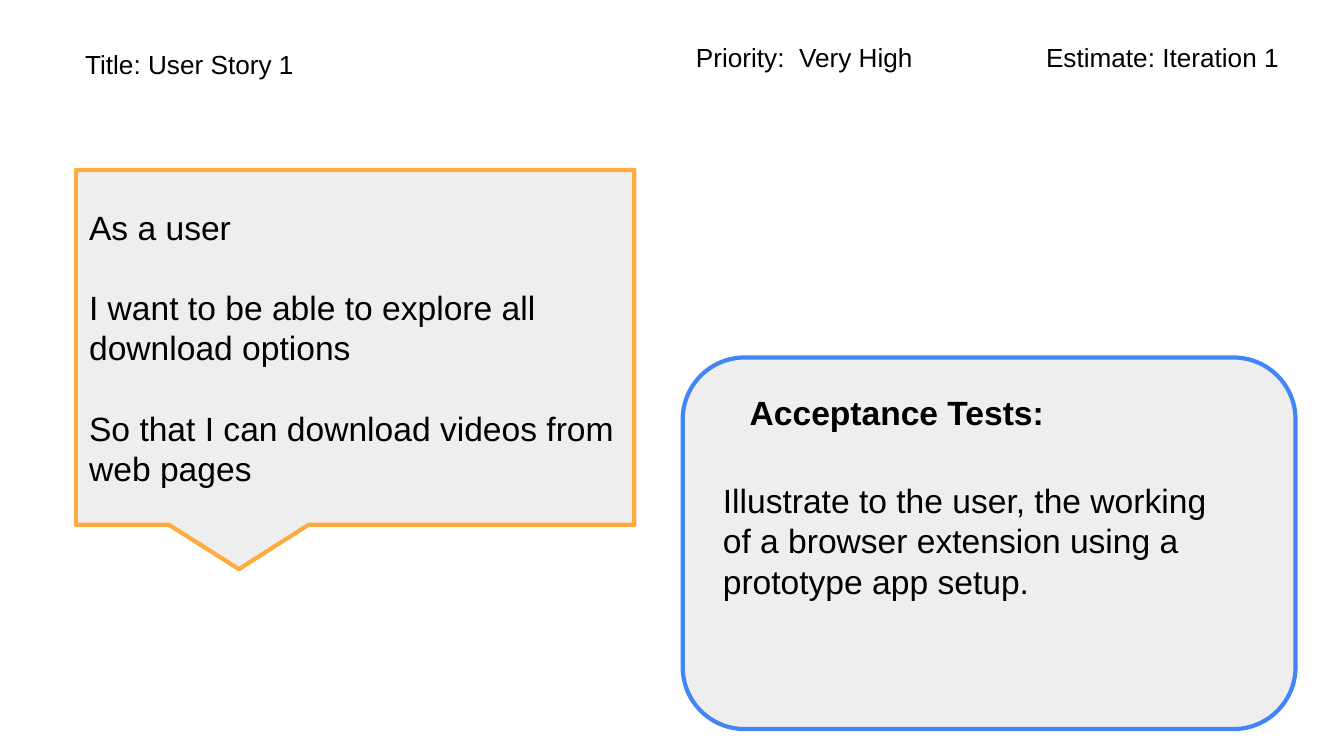
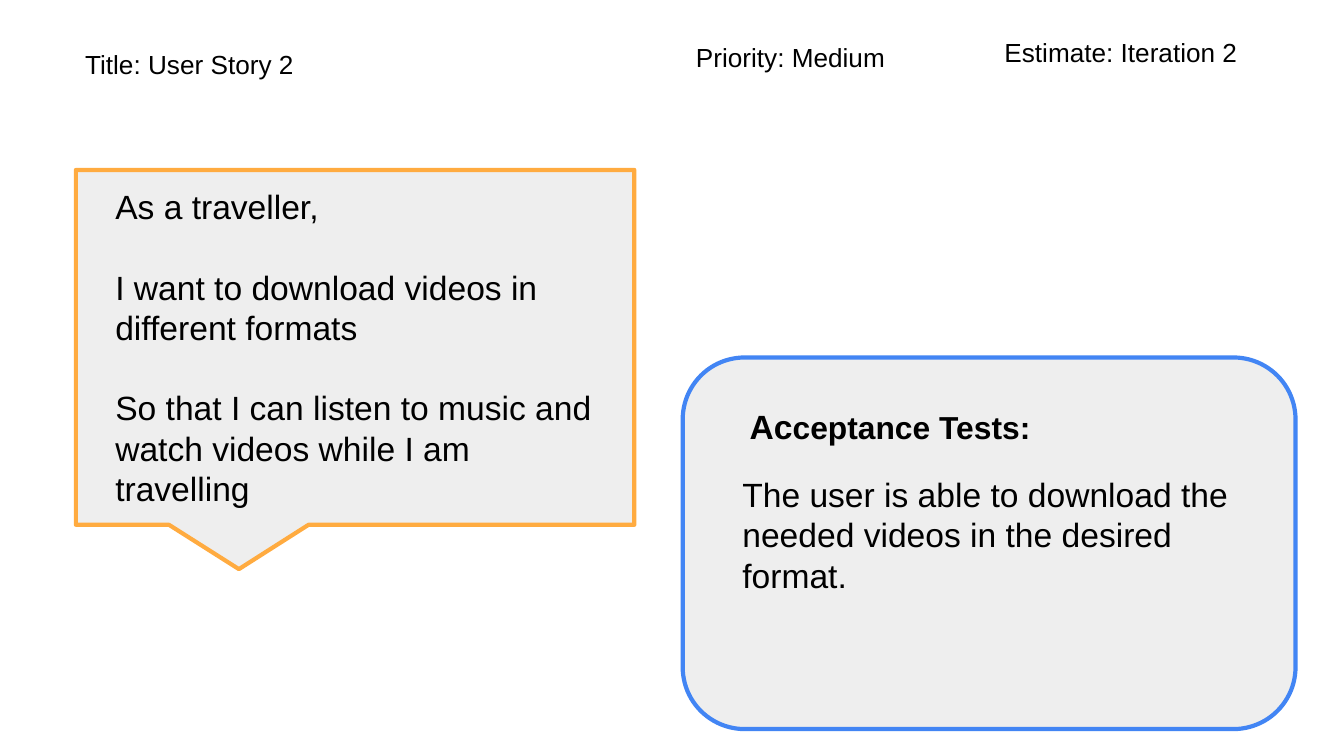
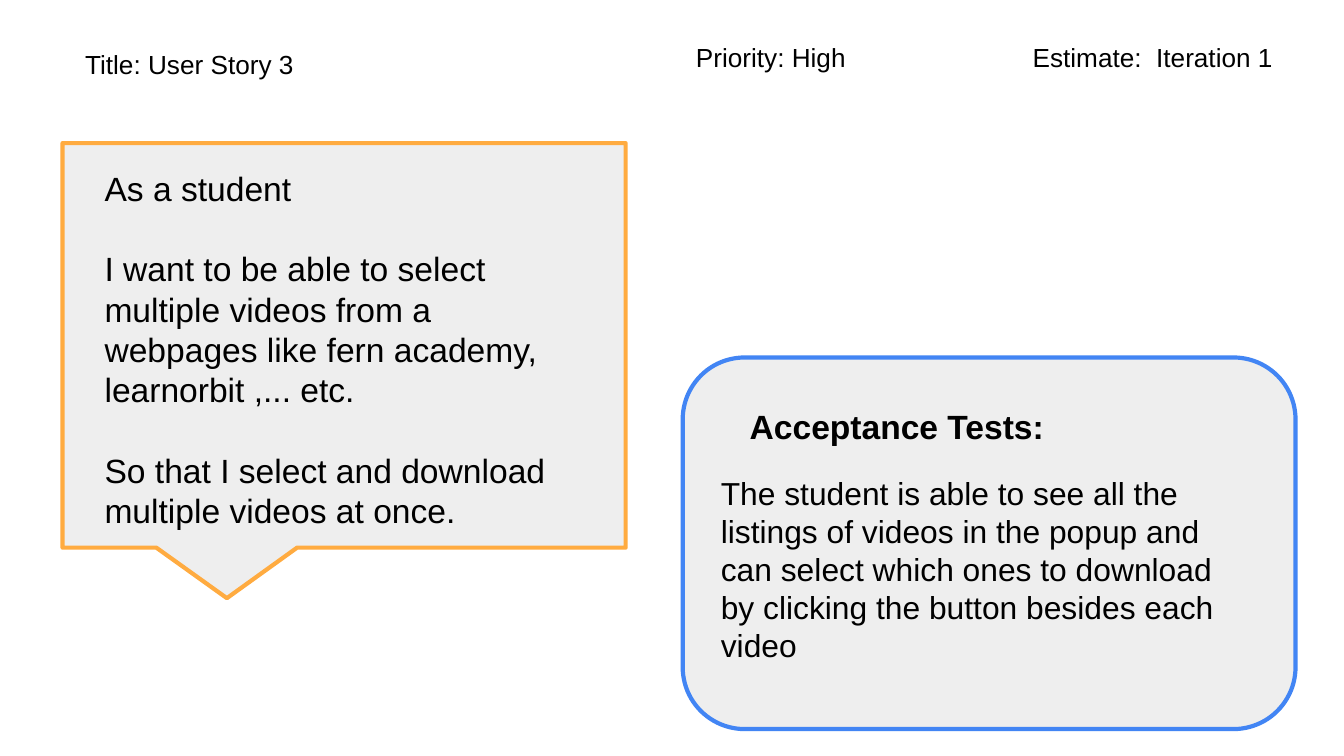
from dataclasses import dataclass

from pptx import Presentation
from pptx.dml.color import RGBColor
from pptx.enum.shapes import MSO_SHAPE
from pptx.enum.text import MSO_ANCHOR, MSO_AUTO_SIZE, PP_ALIGN
from pptx.util import Emu, Pt

PX = 4572  # 200 px to the inch
SLIDE_WIDTH = 2000
SLIDE_HEIGHT = 1125
FONT = "Arial"
BLACK = RGBColor(0x00, 0x00, 0x00)
GREY = RGBColor(0xEE, 0xEE, 0xEE)
ORANGE = RGBColor(0xFF, 0xAB, 0x40)
BLUE = RGBColor(0x42, 0x85, 0xF4)
INSET = 20
HEADER_SIZE = 14
BODY_SIZE = 18
STORY_GAP = 21.5


@dataclass
class Box:
    left: int
    top: int
    width: int
    height: int

    def inner(self, left, top, width, height):
        """Return a box given relative to this one."""
        return Box(self.left + left, self.top + top, width, height)

    def emu(self):
        return [Emu(n * PX) for n in (self.left, self.top, self.width, self.height)]


@dataclass
class Story:
    """One slide; each offset is left, top, width, height within its region."""
    title: str
    priority: str
    estimate: str
    estimate_offset: tuple
    callout_box: Box
    lines: list
    lines_offset: tuple  # empty: the lines are the callout's own text
    tests_heading: list  # (text, size) runs
    heading_top: int
    tests: str
    tests_size: int
    tests_offset: tuple


HEADER_BOX = Box(107, 42, 1823, 98)
TESTS_BOX = Box(1016, 532, 912, 553)
CALLOUT_BOX = Box(113, 253, 831, 528)

STORIES = [
    Story(
        title="Title: User Story 1",
        priority="Priority:  Very High",
        estimate="Estimate: Iteration 1",
        estimate_offset=(1430, 0, 392, 88),
        callout_box=CALLOUT_BOX,
        lines=["As a user",
               "I want to be able to explore all download options",
               "So that I can download videos from web pages"],
        lines_offset=(),
        tests_heading=[("Acceptance Tests:", 18)],
        heading_top=31,
        tests="Illustrate to the user, the working of a browser extension "
              "using a prototype app setup.",
        tests_size=18,
        tests_offset=(40, 162, 776, 316),
    ),
    Story(
        title="Title: User Story 2",
        priority="Priority: Medium",
        estimate="Estimate: Iteration 2",
        estimate_offset=(1368, -8, 404, 88),
        callout_box=CALLOUT_BOX,
        lines=["As a traveller,",
               "I want to download videos in different formats",
               "So that I can listen to music and watch videos while I am travelling"],
        lines_offset=(39, 4, 754, 526),
        tests_heading=[("Ac", 18), ("ceptance Tests:", 17)],
        heading_top=52,
        tests="The user is able to download the needed videos in the desired format.",
        tests_size=18,
        tests_offset=(69, 153, 776, 222),
    ),
    Story(
        title="Title: User Story 3",
        priority="Priority: High",
        estimate="Estimate:  Iteration 1",
        estimate_offset=(1410, 0, 410, 88),
        callout_box=Box(93, 213, 838, 602),
        lines=["As a student",
               "I want to be able to select multiple videos from a webpages "
               "like fern academy, learnorbit ,... etc.",
               "So that I select and download multiple videos at once."],
        lines_offset=(43, 17, 754, 586),
        tests_heading=[("Acceptance Tests:", 18)],
        heading_top=52,
        tests="The student is able to see all the listings of videos in the popup "
              "and can select which ones to download by clicking the button "
              "besides each video",
        tests_size=17,
        tests_offset=(37, 153, 810, 326),
    ),
]


def write_text(shape, paragraphs, bold=False, gap=0):
    """Fill a shape with paragraphs, each a list of (text, size) runs."""
    frame = shape.text_frame
    frame.word_wrap = True
    frame.margin_left = frame.margin_right = Emu(INSET * PX)
    frame.margin_top = frame.margin_bottom = Emu(INSET * PX)
    for index, runs in enumerate(paragraphs):
        paragraph = frame.add_paragraph() if index else frame.paragraphs[0]
        paragraph.alignment = PP_ALIGN.LEFT
        paragraph.space_before = Pt(gap if index else 0)
        for text, size in runs:
            run = paragraph.add_run()
            run.text = text
            run.font.name = FONT
            run.font.size = Pt(size)
            run.font.bold = bold
            run.font.color.rgb = BLACK


def add_text(slide, box, paragraphs, **style):
    shape = slide.shapes.add_textbox(*box.emu())
    write_text(shape, paragraphs, **style)
    shape.text_frame.auto_size = MSO_AUTO_SIZE.SHAPE_TO_FIT_TEXT


def add_panel(slide, preset, box, line_color):
    shape = slide.shapes.add_shape(preset, *box.emu())
    shape.shadow.inherit = False
    shape.fill.solid()
    shape.fill.fore_color.rgb = GREY
    shape.line.color.rgb = line_color
    shape.line.width = Pt(2.25)
    return shape


def add_header(slide, box, story):
    fields = [
        (story.title, (0, 10, 866, 88)),
        (story.priority, (909, 0, 460, 88)),
        (story.estimate, story.estimate_offset),
    ]
    for text, offset in fields:
        add_text(slide, box.inner(*offset), [[(text, HEADER_SIZE)]])


def add_story_callout(slide, box, story):
    callout = add_panel(slide, MSO_SHAPE.RECTANGULAR_CALLOUT, box, ORANGE)
    callout.adjustments[0] = -0.208
    callout.adjustments[1] = 0.625
    paragraphs = [[(line, BODY_SIZE)] for line in story.lines]
    if story.lines_offset:
        add_text(slide, box.inner(*story.lines_offset), paragraphs, gap=STORY_GAP)
    else:
        write_text(callout, paragraphs, gap=STORY_GAP)
        callout.text_frame.vertical_anchor = MSO_ANCHOR.MIDDLE


def add_acceptance_tests(slide, box, story):
    add_panel(slide, MSO_SHAPE.FLOWCHART_ALTERNATE_PROCESS, box, BLUE)
    add_text(slide, box.inner(*story.tests_offset), [[(story.tests, story.tests_size)]])
    add_text(slide, box.inner(80, story.heading_top, 754, 100),
             [story.tests_heading], bold=True)


def add_story_slide(presentation, story):
    slide = presentation.slides.add_slide(presentation.slide_layouts[6])
    add_story_callout(slide, story.callout_box, story)
    add_acceptance_tests(slide, TESTS_BOX, story)
    add_header(slide, HEADER_BOX, story)


def main():
    presentation = Presentation()
    presentation.slide_width = Emu(SLIDE_WIDTH * PX)
    presentation.slide_height = Emu(SLIDE_HEIGHT * PX)
    for story in STORIES:
        add_story_slide(presentation, story)
    presentation.save("out.pptx")


if __name__ == "__main__":
    main()
